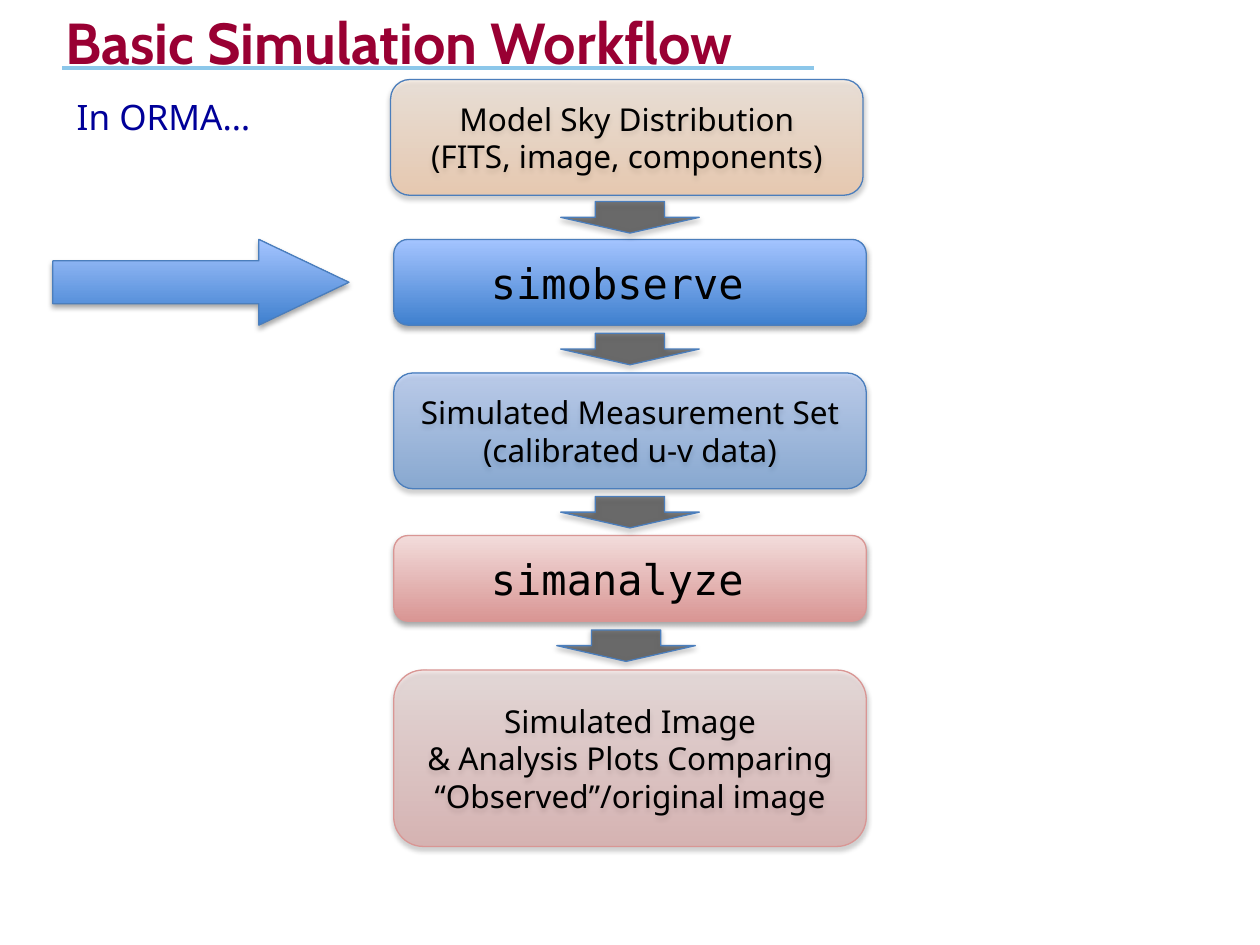
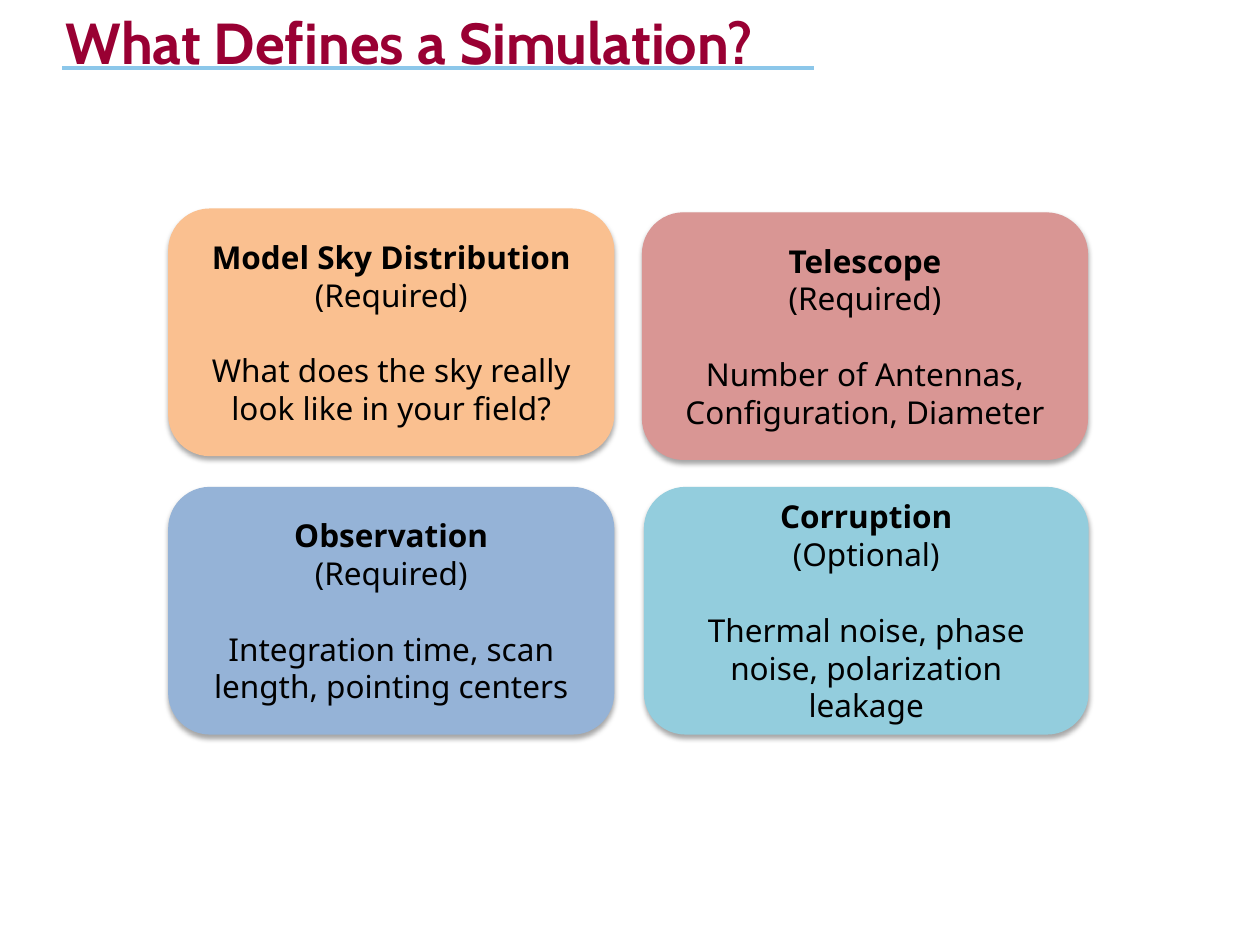
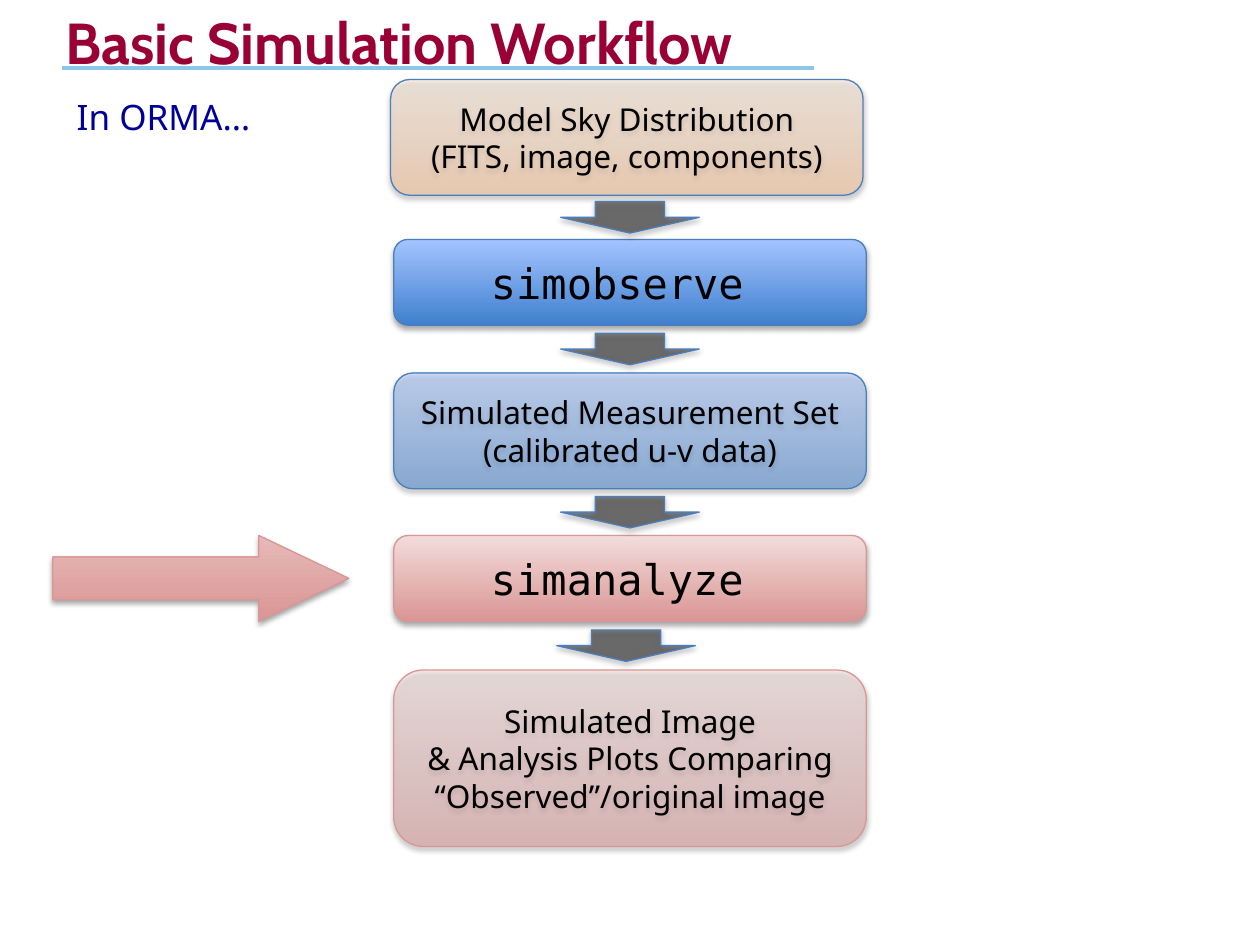
from pptx import Presentation
from pptx import util as u
from pptx.dml import color
from pptx.enum import shapes, text
from pptx.oxml import ns
from lxml import etree

COLORS = {
    "title": "990033", "rule": "8CC7EA", "note": "000099", "ink": "000000",
    "blue": "3F80CE", "pale_blue": "A4C4FF", "blue_edge": "4B7EBC",
    "rose": "D99694", "pale_rose": "F2DCDB", "mid_rose": "E6B9B8",
    "orange": "FAC090", "pale_orange": "FDEADA",
    "steel": "95B3D7", "aqua": "93CDDD",
}
TITLE_FONT, BODY_FONT, CODE_FONT = "Cabin", "Noto Sans", "DejaVu Sans Mono"
PARAGRAPH_GAP = 21.6

NOTE = "In ORMA…"
COLUMN_WIDTH = 270
STEPS = [
    (223.2, 45.4, 66.2, ("orange", "pale_orange"), "blue_edge", 50,
     ["Model Sky Distribution", "(FITS, image, components)"]),
    (225, 136.8, 49, ("blue", "pale_blue"), "blue_edge", 100, "simobserve "),
    (225, 213.1, 66.2, ("blue", "pale_blue"), "blue_edge", 50,
     ["Simulated Measurement Set", "(calibrated u-v data)"]),
    (225, 306, 49, ("rose", "pale_rose"), "rose", 100, "simanalyze "),
    (225, 382.9, 100.8, ("rose", "pale_rose"), "rose", 50,
     ["Simulated Image", "& Analysis Plots Comparing “Observed”/original image"]),
]
ARROW_LEFTS = [320.4, 320.4, 320.4, 318.2]
ARROW_WIDTH, ARROW_HEIGHT = 79.2, 18

FACTORS = [
    (96.5, 119.5, 254.2, "orange", "Model Sky Distribution", "(Required)",
     "What does the sky really look like in your field?"),
    (367.2, 121.7, 254.2, "rose", "Telescope", "(Required)",
     "Number of Antennas, Configuration, Diameter"),
    (96.5, 278.6, 254.2, "steel", "Observation", "(Required)",
     "Integration time, scan length, pointing centers"),
    (368.3, 278.6, 253.4, "aqua", "Corruption", "(Optional)",
     "Thermal noise, phase noise, polarization leakage"),
]
FACTOR_HEIGHT = 140.8

SLIDES = [
    ("Basic Simulation Workflow", "workflow", (1, ("blue", "pale_blue"), "blue_edge")),
    ("What Defines a Simulation?", "factors", None),
    ("Basic Simulation Workflow", "workflow", (3, ("rose", "mid_rose"), "rose")),
]


def rgb(name):
    return color.RGBColor.from_string(COLORS[name])


def write(para, words, size, font, ink="ink", bold=False):
    span = para.add_run()
    span.text = words
    span.font.size = u.Pt(size)
    span.font.name = font
    span.font.bold = bold
    span.font.color.rgb = rgb(ink)


def add_lines(box, lines, size=18, font=BODY_FONT, bold_first=False, gap_before=None):
    frame = box.text_frame
    frame.word_wrap = True
    frame.vertical_anchor = text.MSO_ANCHOR.MIDDLE
    for index, words in enumerate(lines):
        para = frame.paragraphs[0] if index == 0 else frame.add_paragraph()
        para.alignment = text.PP_ALIGN.CENTER
        if index == gap_before:
            para.space_before = u.Pt(PARAGRAPH_GAP)
        write(para, words, size, font, bold=bold_first and index == 0)


def add_block(page, kind, place, fills, edge, opacity=100):
    block = page.shapes.add_shape(kind, *map(u.Pt, place))
    properties = block.element.spPr
    if len(fills) == 1:
        block.fill.solid()
        block.fill.fore_color.rgb = rgb(fills[0])
    else:
        block.fill.gradient()
        block.fill.gradient_angle = 90
        for stop, name in zip(block.fill.gradient_stops, fills):
            stop.color.rgb = rgb(name)
    if opacity < 100:
        for tint in properties.iter(ns.qn("a:srgbClr")):
            etree.SubElement(tint, ns.qn("a:alpha"), val=str(opacity * 1000))
    block.line.color.rgb = rgb(edge)
    block.line.width = u.Pt(0.75)
    block.shadow.inherit = False
    shadow = etree.SubElement(
        properties.find(ns.qn("a:effectLst")), ns.qn("a:outerShdw"),
        blurRad=str(u.Pt(3.1)), dist=str(u.Pt(1.8)), dir="5400000", rotWithShape="0")
    tint = etree.SubElement(shadow, ns.qn("a:srgbClr"), val=COLORS["ink"])
    etree.SubElement(tint, ns.qn("a:alpha"), val="35000")
    return block


def add_page(deck, heading):
    page = deck.slides.add_slide(deck.slide_layouts[5])
    title = page.shapes.title
    title.left, title.top, title.width, title.height = map(u.Pt, (30.2, 0, 648, 43.9))
    frame = title.text_frame
    frame.auto_size = text.MSO_AUTO_SIZE.NONE
    frame.word_wrap = True
    frame.vertical_anchor = text.MSO_ANCHOR.TOP
    frame.margin_right = u.Pt(6.5)
    frame.paragraphs[0].alignment = text.PP_ALIGN.LEFT
    write(frame.paragraphs[0], heading, 33, TITLE_FONT, "title", True)
    rule = page.shapes.add_connector(
        shapes.MSO_CONNECTOR.STRAIGHT, *map(u.Pt, (35.5, 38.9, 465, 38.9)))
    rule.line.color.rgb = rgb("rule")
    rule.line.width = u.Pt(2.25)
    etree.SubElement(rule.element.spPr, ns.qn("a:effectLst"))
    title.element.addprevious(rule.element)
    return page


def draw_workflow(page, pointer):
    note = page.shapes.add_textbox(*map(u.Pt, (36.7, 51.1, 185.8, 31.7)))
    note.text_frame.word_wrap = True
    write(note.text_frame.paragraphs[0], NOTE, 20, BODY_FONT, "note")

    for left, top, height, fills, edge, opacity, words in STEPS:
        box = add_block(page, shapes.MSO_SHAPE.ROUNDED_RECTANGLE,
                        (left, top, COLUMN_WIDTH, height), fills, edge, opacity)
        if isinstance(words, str):
            add_lines(box, [words], 24, CODE_FONT)
        else:
            add_lines(box, words)

    for left, above, below in zip(ARROW_LEFTS, STEPS, STEPS[1:]):
        middle = (above[1] + above[2] + below[1]) / 2
        add_block(page, shapes.MSO_SHAPE.DOWN_ARROW,
                  (left, middle - ARROW_HEIGHT / 2, ARROW_WIDTH, ARROW_HEIGHT),
                  ("ink",), "blue_edge", 50)

    step, fills, edge = pointer
    top, height = STEPS[step][1:3]
    arrow = add_block(page, shapes.MSO_SHAPE.RIGHT_ARROW,
                      (30.2, top, 169.2, height), fills, edge)
    arrow.adjustments[1] = 1.05


def draw_factors(page):
    for left, top, width, fill, *lines in FACTORS:
        box = add_block(page, shapes.MSO_SHAPE.ROUNDED_RECTANGLE,
                        (left, top, width, FACTOR_HEIGHT), (fill,), fill)
        add_lines(box, lines, bold_first=True, gap_before=2)


def main():
    deck = Presentation()
    deck.slide_width, deck.slide_height = u.Pt(720), u.Pt(540)
    for heading, kind, pointer in SLIDES:
        page = add_page(deck, heading)
        if kind == "workflow":
            draw_workflow(page, pointer)
        else:
            draw_factors(page)
    deck.save("out.pptx")


if __name__ == "__main__":
    main()
